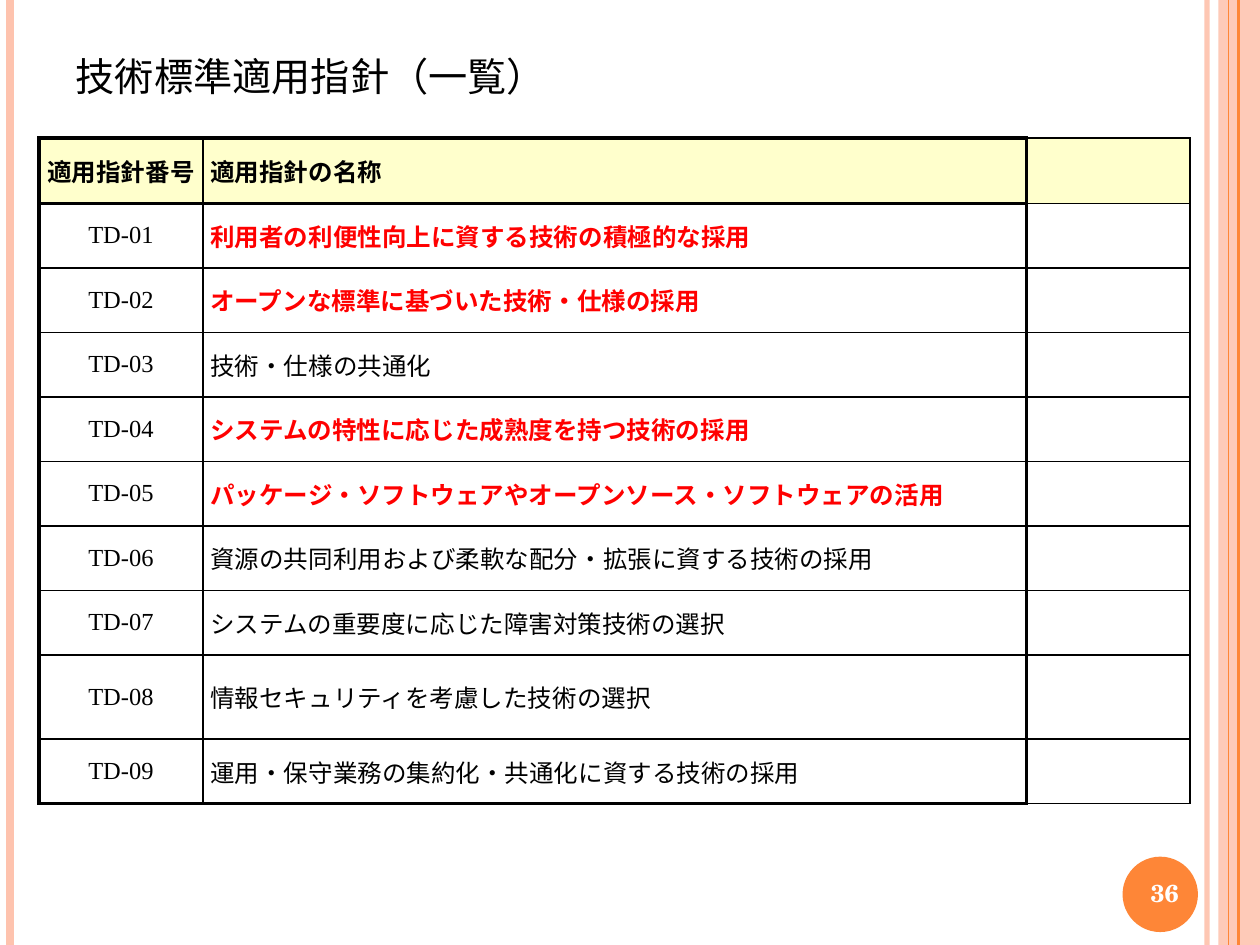
from dataclasses import dataclass
from typing import Optional

from lxml.etree import SubElement
from pptx import Presentation
from pptx.dml.color import RGBColor
from pptx.enum.shapes import MSO_CONNECTOR, MSO_SHAPE
from pptx.enum.text import MSO_ANCHOR, PP_ALIGN
from pptx.oxml.ns import qn
from pptx.util import Cm, Pt


@dataclass(frozen=True)
class Theme:
    ink: str = "000000"
    key: str = "FF0000"
    head: str = "FFFFCC"
    pale: str = "FEC3AE"
    accent: str = "FE8637"
    white: str = "FFFFFF"
    cjk: str = "Noto Sans CJK JP"
    serif: str = "Times New Roman"
    badge: str = "TeX Gyre Schola"
    title: float = 28
    body: float = 14
    thin: float = 1
    mid: float = 1.5
    thick: float = 2.25


@dataclass(frozen=True)
class Stripe:
    x: float
    width: float
    color: str
    alpha: int = 100


@dataclass(frozen=True)
class Guide:
    name: str
    key: bool = False


THEME = Theme()
WIDE, HIGH = 25.4, 19.05

STRIPES = [
    Stripe(24.33, 3, THEME.pale, 93),
    Stripe(0.2, 4.5, THEME.pale),
    Stripe(24.97, 1.5, THEME.accent),
    Stripe(24.77, 0.75, THEME.accent),
]

GUIDES = [
    Guide("利用者の利便性向上に資する技術の積極的な採用", True),
    Guide("オープンな標準に基づいた技術・仕様の採用", True),
    Guide("技術・仕様の共通化"),
    Guide("システムの特性に応じた成熟度を持つ技術の採用", True),
    Guide("パッケージ・ソフトウェアやオープンソース・ソフトウェアの活用", True),
    Guide("資源の共同利用および柔軟な配分・拡張に資する技術の採用"),
    Guide("システムの重要度に応じた障害対策技術の選択"),
    Guide("情報セキュリティを考慮した技術の選択"),
    Guide("運用・保守業務の集約化・共通化に資する技術の採用"),
]
COLS = [3.3, 16.6, 3.3]
ROWS = [1.32] + [1.3] * 7 + [1.7, 1.3]
PLAIN_GRID = "{2D5ABB26-0587-4C30-8999-92F81FD0307C}"


def set_alpha(part, alpha: int) -> None:
    if alpha < 100:
        for color in part.iter(qn("a:srgbClr")):
            SubElement(color, qn("a:alpha"), val=str(alpha * 1000))


def add_run(para, text: str, size: float, font: str, color: str, bold: bool = False):
    run = para.add_run()
    run.text = text
    run.font.size = Pt(size)
    run.font.bold = bold
    run.font.color.rgb = RGBColor.from_string(color)
    run.font.name = font
    SubElement(run.font._element, qn("a:ea"), typeface=THEME.cjk)
    return run


def add_stripe(slide, stripe: Stripe) -> None:
    x = Cm(stripe.x)
    line = slide.shapes.add_connector(MSO_CONNECTOR.STRAIGHT, x, 0, x, Cm(HIGH))
    line.line.width = Pt(stripe.width)
    line.line.color.rgb = RGBColor.from_string(stripe.color)
    props = line._element.spPr
    set_alpha(props, stripe.alpha)
    SubElement(props, qn("a:effectLst"))


def add_block(slide, kind, x: float, y: float, w: float, h: float,
              color: str, alpha: int = 100) -> None:
    shape = slide.shapes.add_shape(kind, Cm(x), Cm(y), Cm(w), Cm(h))
    shape.shadow.inherit = False
    shape.fill.solid()
    shape.fill.fore_color.rgb = RGBColor.from_string(color)
    shape.line.fill.background()
    set_alpha(shape._element.spPr, alpha)


def add_title(slide, text: str) -> None:
    title = slide.shapes.title
    title.left, title.top, title.width, title.height = Cm(1.27), Cm(0.76), Cm(22.86), Cm(1.42)
    frame = title.text_frame
    frame.vertical_anchor = MSO_ANCHOR.BOTTOM
    para = frame.paragraphs[0]
    para.alignment = PP_ALIGN.LEFT
    run = add_run(para, text, THEME.title, THEME.cjk, THEME.ink)
    run.font._element.set("cap", "small")


def set_edges(cell, row: int, col: int) -> None:
    """Heavy frame round the first two columns, medium rule under the header."""
    framed, last = col < 2, len(ROWS) - 1
    widths = {
        "L": THEME.thin if col == 1 else THEME.thick,
        "R": THEME.thick if col == 1 else THEME.thin,
        "T": THEME.thin,
        "B": THEME.thin,
    }
    if framed:
        widths["T"] = {0: THEME.thick, 1: THEME.mid}.get(row, THEME.thin)
        widths["B"] = {0: THEME.mid, last: THEME.thick}.get(row, THEME.thin)
    props = cell._tc.get_or_add_tcPr()
    for side, width in widths.items():
        edge = SubElement(props, qn(f"a:ln{side}"), w=str(Pt(width)))
        SubElement(SubElement(edge, qn("a:solidFill")), qn("a:srgbClr"), val=THEME.ink)


def fill_cell(cell, text: str, color: str, bold: bool, align: Optional[PP_ALIGN]) -> None:
    cell.vertical_anchor = MSO_ANCHOR.MIDDLE
    cell.margin_left = cell.margin_right = Cm(0.15)
    cell.margin_top = cell.margin_bottom = Cm(0.1)
    if text:
        para = cell.text_frame.paragraphs[0]
        para.alignment = align
        para.space_before = Pt(THEME.body * 0.2)
        add_run(para, text, THEME.body, THEME.serif, color, bold)


def add_guides(slide) -> None:
    frame = slide.shapes.add_table(len(ROWS), len(COLS), Cm(0.79), Cm(2.78),
                                   Cm(sum(COLS)), Cm(sum(ROWS)))
    table = frame.table
    table.first_row = table.horz_banding = False
    table._tbl.tblPr.find(qn("a:tableStyleId")).text = PLAIN_GRID
    for col, width in zip(table.columns, COLS):
        col.width = Cm(width)
    for row, height in zip(table.rows, ROWS):
        row.height = Cm(height)

    lines = [("適用指針番号", "適用指針の名称", "")]
    lines += [(f"TD-{i:02}", guide.name, "") for i, guide in enumerate(GUIDES, 1)]
    for r, line in enumerate(lines):
        for c, text in enumerate(line):
            cell = table.cell(r, c)
            key = r > 0 and c == 1 and GUIDES[r - 1].key
            set_edges(cell, r, c)
            if r == 0:
                cell.fill.solid()
                cell.fill.fore_color.rgb = RGBColor.from_string(THEME.head)
            else:
                cell.fill.background()
            fill_cell(cell, text, THEME.key if key else THEME.ink, r == 0 or key,
                      PP_ALIGN.CENTER if c == 0 else PP_ALIGN.LEFT)


def add_number(slide, text: str) -> None:
    box = slide.shapes.add_textbox(Cm(22.63), Cm(17.27), Cm(1.7), Cm(1.45))
    frame = box.text_frame
    frame.word_wrap = True
    frame.vertical_anchor = MSO_ANCHOR.MIDDLE
    para = frame.paragraphs[0]
    para.alignment = PP_ALIGN.CENTER
    add_run(para, text, THEME.body, THEME.badge, THEME.white, True)


def main() -> None:
    deck = Presentation()
    deck.slide_width, deck.slide_height = Cm(WIDE), Cm(HIGH)
    slide = deck.slides.add_slide(deck.slide_layouts[5])

    # Side bands and number disc
    add_block(slide, MSO_SHAPE.RECTANGLE, 24.56, 0, 0.84, HIGH, THEME.pale, 87)
    for stripe in STRIPES:
        add_stripe(slide, stripe)
    add_block(slide, MSO_SHAPE.OVAL, 22.63, 17.27, 1.52, 1.52, THEME.accent)

    # Content
    add_title(slide, "技術標準適用指針（一覧）")
    add_guides(slide)
    add_number(slide, "36")
    deck.save("out.pptx")


if __name__ == "__main__":
    main()
